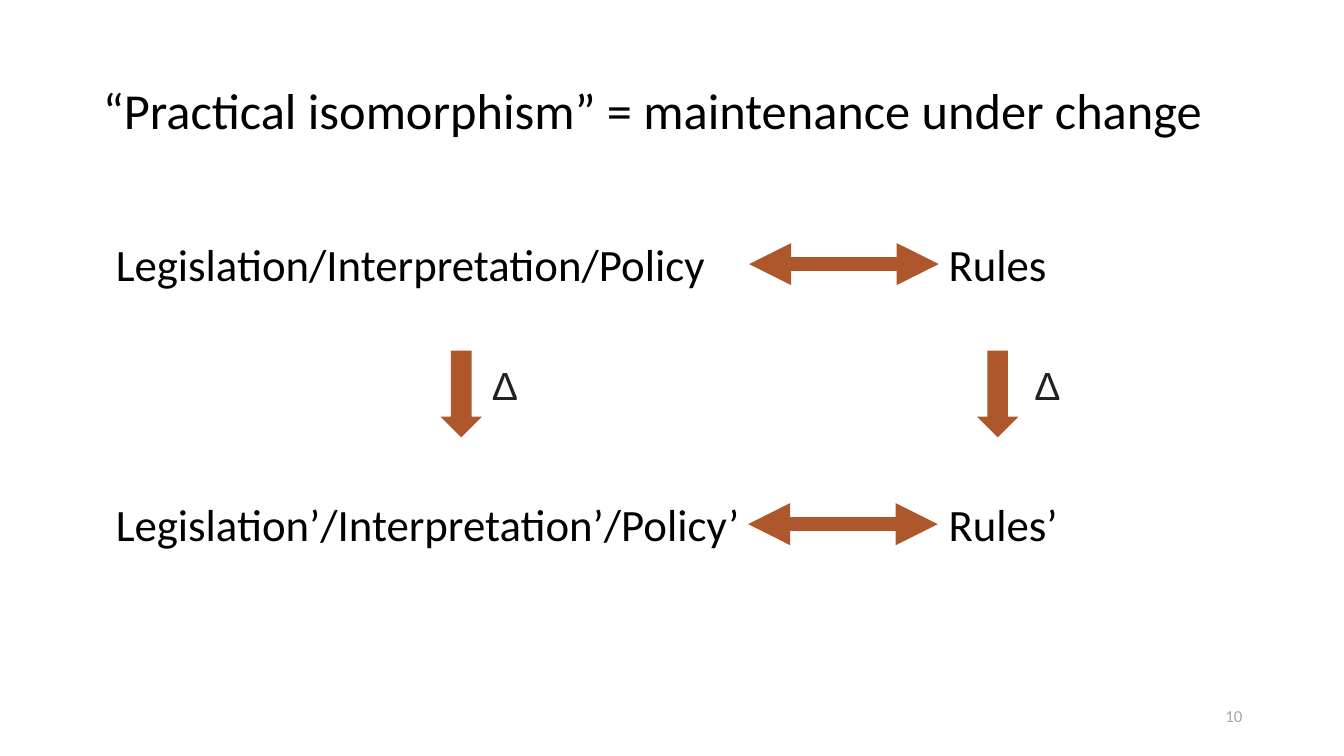
from pptx import Presentation
from pptx.util import Inches, Pt
from pptx.dml.color import RGBColor
from pptx.enum.shapes import MSO_CONNECTOR, MSO_SHAPE
from pptx.enum.text import MSO_ANCHOR, PP_ALIGN
from pptx.oxml.ns import qn
from lxml.etree import SubElement

theme = {
    "title": ("Calibri", 36, "000000"),
    "term": ("Calibri", 32, "000000"),
    "delta": ("Arial", 28, "202124"),
    "page": ("Calibri", 12, "A6A6A6"),
    "rust": RGBColor.from_string("AE562C"),
}

deck = Presentation()
deck.slide_width, deck.slide_height = Inches(13.33), Inches(7.5)
slide = deck.slides.add_slide(deck.slide_layouts[5])


def write(box, text, style, align=PP_ALIGN.LEFT):
    face, size, tint = theme[style]
    para = box.text_frame.paragraphs[0]
    para.text = text
    para.alignment = align
    para.font.name = face
    para.font.size = Pt(size)
    para.font.color.rgb = RGBColor.from_string(tint)
    return para


def label(text, style, left, top, width, height, wrap=False, align=PP_ALIGN.LEFT):
    box = slide.shapes.add_textbox(*map(Inches, (left, top, width, height)))
    box.text_frame.word_wrap = wrap
    write(box, text, style, align)


title = slide.shapes.title
title.left, title.top, title.width, title.height = map(Inches, (0.92, 0.4, 11.5, 1.45))
title.text_frame.word_wrap = True
title.text_frame.vertical_anchor = MSO_ANCHOR.MIDDLE
write(title, "“Practical isomorphism” = maintenance under change", "title").line_spacing = 0.9

law, rule = 1.05, 9.31
tall = 0.64
rows = [
    (2.3, "Legislation/Interpretation/Policy", 6.12, "Rules", 1.18, 7.43),
    (4.88, "Legislation’/Interpretation’/Policy’", 6.45, "Rules’", 1.3, 7.42),
]
for top, source, wide, target, slim, start in rows:
    label(source, "term", law, top, wide, tall)
    label(target, "term", rule, top, slim, tall)
    mid = top + tall / 2
    link = slide.shapes.add_connector(
        MSO_CONNECTOR.STRAIGHT, *map(Inches, (start, mid, start + 1.88, mid)))
    link.line.color.rgb = theme["rust"]
    link.line.width = Pt(10)
    line = link.line._get_or_add_ln()
    for end in ("a:headEnd", "a:tailEnd"):
        SubElement(line, qn(end), type="triangle")
    SubElement(link._element.spPr, qn("a:effectLst"))

for left, sign in ((4.37, 4.78), (9.69, 10.16)):
    arrow = slide.shapes.add_shape(
        MSO_SHAPE.DOWN_ARROW, *map(Inches, (left, 3.48, 0.41, 0.86)))
    arrow.shadow.inherit = False
    arrow.fill.solid()
    arrow.fill.fore_color.rgb = theme["rust"]
    arrow.line.fill.background()
    label("Δ", "delta", sign, 3.54, 0.46, 0.57)

label("10", "page", 9.42, 6.95, 3, 0.4, True, PP_ALIGN.RIGHT)

deck.save("out.pptx")
